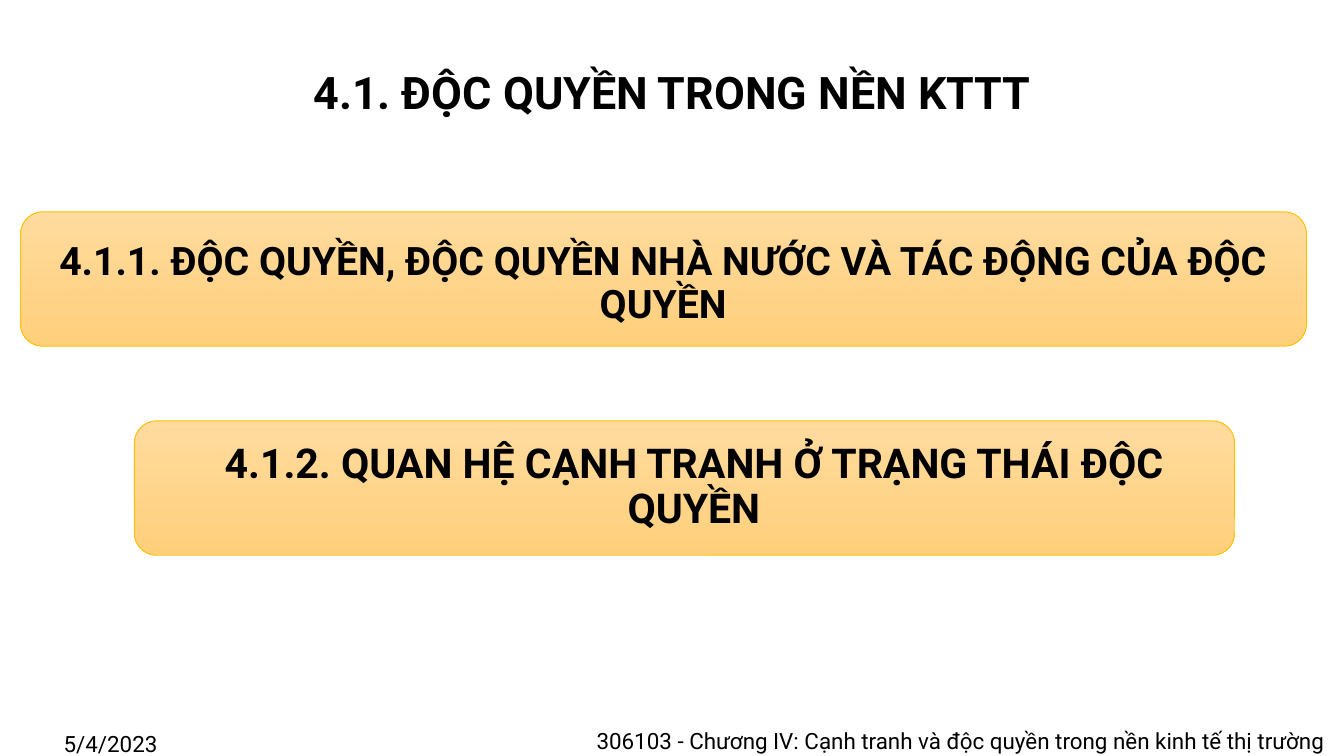
"""Build the section overview slide on monopoly in a market economy."""
from pptx import Presentation
from pptx.dml.color import RGBColor
from pptx.enum.shapes import MSO_SHAPE
from pptx.enum.text import MSO_ANCHOR, MSO_AUTO_SIZE, PP_ALIGN
from pptx.util import Pt

ROUND = MSO_SHAPE.ROUNDED_RECTANGLE
MIDDLE = MSO_ANCHOR.MIDDLE
FIXED = MSO_AUTO_SIZE.NONE
CENTER, RIGHT = PP_ALIGN.CENTER, PP_ALIGN.RIGHT


def color(code):
    return RGBColor.from_string(code)


def write(box, text, size, bold=False, align=CENTER):
    frame = box.text_frame
    frame.text = text
    frame.word_wrap = True
    frame.auto_size = FIXED
    frame.vertical_anchor = MIDDLE
    para = frame.paragraphs[0]
    para.alignment = align
    para.line_spacing = 0.9
    para.space_before = Pt(0)
    font = para.runs[0].font
    font.name = "Roboto"
    font.size = Pt(size)
    font.bold = bold
    font.color.rgb = color("000000")


deck = Presentation()
deck.slide_width, deck.slide_height = Pt(720), Pt(405)
slide = deck.slides.add_slide(deck.slide_layouts[5])
shapes = slide.shapes

title = shapes.title
title.left, title.top, title.width, title.height = Pt(0), Pt(28), Pt(720), Pt(45.5)
write(title, "4.1. ĐỘC QUYỀN TRONG NỀN KTTT", 24, True)

topics = [
    ("4.1.1. ĐỘC QUYỀN, ĐỘC QUYỀN NHÀ NƯỚC VÀ TÁC ĐỘNG CỦA ĐỘC QUYỀN",
     21, (11, 113.5, 689), (16.5, 129.5, 677.5)),
    ("4.1.2. QUAN HỆ CẠNH TRANH Ở TRẠNG THÁI ĐỘC QUYỀN",
     22, (72, 225.5, 589.5), (82, 238.5, 579.5)),
]
for text, size, panel, label in topics:
    left, top, width = panel
    card = shapes.add_shape(ROUND, Pt(left), Pt(top), Pt(width), Pt(72))
    card.shadow.inherit = False
    card.fill.gradient()
    card.fill.gradient_angle = 270
    for stop, code in zip(card.fill.gradient_stops, ("FFDB9E", "FFD07C")):
        stop.color.rgb = color(code)
    card.line.color.rgb = color("FFC000")
    card.line.width = Pt(0.5)
    left, top, width = label
    box = shapes.add_textbox(Pt(left), Pt(top), Pt(width), Pt(45.5))
    write(box, text, size, True)

notes = [
    ("5/4/2023", 11, 385, 96.5, CENTER),
    ("306103 - Chương IV: Cạnh tranh và độc quyền trong nền kinh tế thị trường",
     264, 383, 453, RIGHT),
]
for text, left, top, width, align in notes:
    box = shapes.add_textbox(Pt(left), Pt(top), Pt(width), Pt(29))
    write(box, text, 12, align=align)

deck.save("out.pptx")
